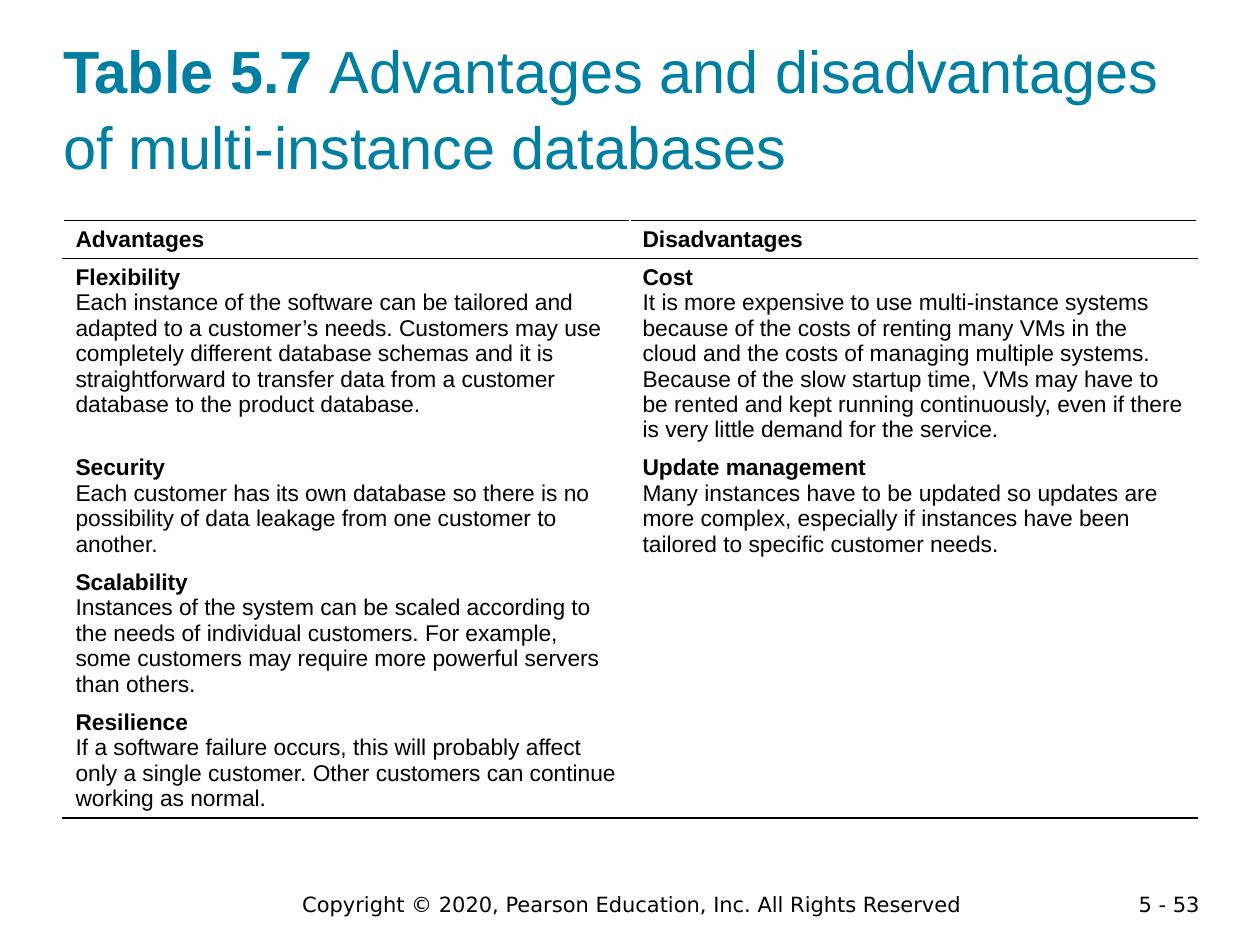
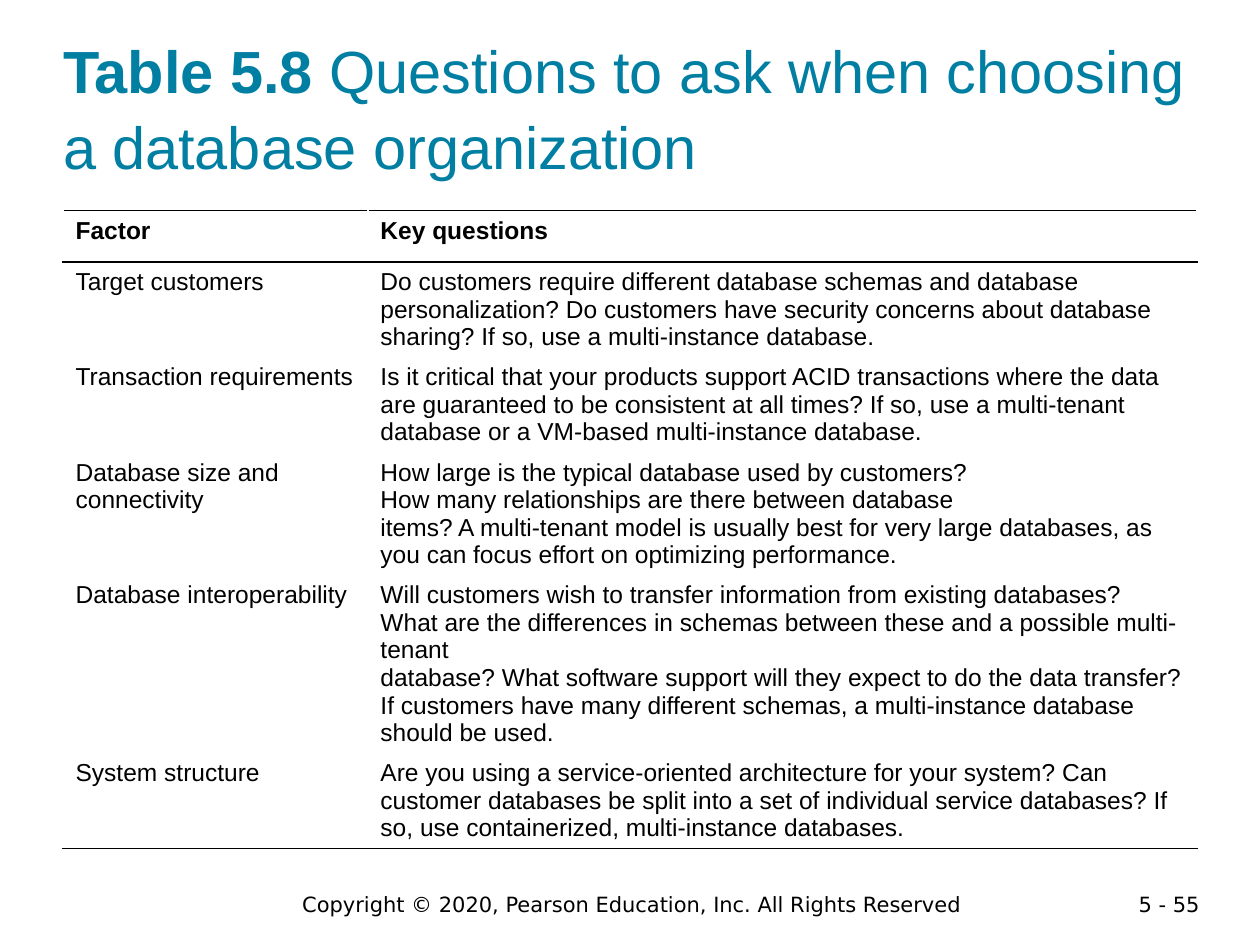
from dataclasses import dataclass

from lxml import etree
from pptx import Presentation
from pptx import util as u
from pptx.dml import color
from pptx.enum import text
from pptx.oxml import ns


@dataclass(frozen=True)
class Theme:
    title_color: color.RGBColor = color.RGBColor(0x00, 0x7F, 0xA3)
    ink: color.RGBColor = color.RGBColor(0, 0, 0)
    paper: color.RGBColor = color.RGBColor(255, 255, 255)
    font: str = "Arial"
    footer_font: str = "DejaVu Sans"
    title_size: int = 34
    footer_size: int = 12
    rule_width: int = 1


@dataclass(frozen=True)
class Cell:
    heading: str = ""
    body: tuple[str, ...] = ()


@dataclass(frozen=True)
class TableSlide:
    label: str
    title: str
    page: str
    top: float
    size: int
    widths: tuple[float, ...]
    heights: tuple[float, ...]
    rows: tuple[tuple[Cell, ...], ...]


THEME = Theme()
COPYRIGHT = "Copyright © 2020, Pearson Education, Inc. All Rights Reserved"

SLIDES = (
    TableSlide(
        "Table 5.7 ", "Advantages and disadvantages of multi-instance databases", "5 - 53",
        1.75, 13, (4.5, 4.5), (0.3, 1.51, 0.91, 1.11, 0.91),
        (
            (Cell("Advantages"), Cell("Disadvantages")),
            (
                Cell("Flexibility", (
                    "Each instance of the software can be tailored and adapted to a customer’s needs. "
                    "Customers may use completely different database schemas and it is straightforward "
                    "to transfer data from a customer database to the product database.",)),
                Cell("Cost", (
                    "It is more expensive to use multi-instance systems because of the costs of renting "
                    "many VMs in the cloud and the costs of managing multiple systems. Because of the "
                    "slow startup time, VMs may have to be rented and kept running continuously, even "
                    "if there is very little demand for the service.",)),
            ),
            (
                Cell("Security", (
                    "Each customer has its own database so there is no possibility of data leakage "
                    "from one customer to another.",)),
                Cell("Update management", (
                    "Many instances have to be updated so updates are more complex, especially if "
                    "instances have been tailored to specific customer needs.",)),
            ),
            (
                Cell("Scalability", (
                    "Instances of the system can be scaled according to the needs of individual "
                    "customers. For example, some customers may require more powerful servers "
                    "than others.",)),
                Cell(),
            ),
            (
                Cell("Resilience", (
                    "If a software failure occurs, this will probably affect only a single customer. "
                    "Other customers can continue working as normal.",)),
                Cell(),
            ),
        ),
    ),
    TableSlide(
        "Table 5.8 ", "Questions to ask when choosing a database organization", "5 - 55",
        1.67, 14, (2.42, 6.58), (0.41, 0.75, 0.75, 0.97, 1.41, 0.75),
        (
            (Cell("Factor"), Cell("Key questions")),
            (
                Cell(body=("Target customers",)),
                Cell(body=(
                    "Do customers require different database schemas and database personalization? "
                    "Do customers have security concerns about database sharing? If so, use a "
                    "multi-instance database.",)),
            ),
            (
                Cell(body=("Transaction requirements",)),
                Cell(body=(
                    "Is it critical that your products support ACID transactions where the data are "
                    "guaranteed to be consistent at all times? If so, use a multi-tenant",
                    "database or a VM-based multi-instance database.")),
            ),
            (
                Cell(body=("Database size and connectivity",)),
                Cell(body=(
                    "How large is the typical database used by customers?",
                    "How many relationships are there between database",
                    "items? A multi-tenant model is usually best for very large databases, as you can "
                    "focus effort on optimizing performance.")),
            ),
            (
                Cell(body=("Database interoperability",)),
                Cell(body=(
                    "Will customers wish to transfer information from existing databases? What are "
                    "the differences in schemas between these and a possible multi-tenant",
                    "database? What software support will they expect to do the data transfer? If "
                    "customers have many different schemas, a multi-instance database should be used.")),
            ),
            (
                Cell(body=("System structure",)),
                Cell(body=(
                    "Are you using a service-oriented architecture for your system? Can customer "
                    "databases be split into a set of individual service databases? If so, use "
                    "containerized, multi-instance databases.",)),
            ),
        ),
    ),
)


def add_run(p, words: str, size: int, font: str = THEME.font,
            ink: color.RGBColor = THEME.ink, bold: bool = False) -> None:
    r = p.add_run()
    r.text = words
    r.font.size = u.Pt(size)
    r.font.name = font
    r.font.color.rgb = ink
    r.font.bold = bold


def set_title(s, spec: TableSlide) -> None:
    sp = s.shapes.title
    sp.left, sp.top, sp.width, sp.height = map(u.Inches, (0.5, 0.24, 9, 1.2))
    tf = sp.text_frame
    tf.auto_size = text.MSO_AUTO_SIZE.NONE
    tf.word_wrap = True
    tf.vertical_anchor = text.MSO_ANCHOR.BOTTOM
    tf.margin_left = tf.margin_top = tf.margin_right = tf.margin_bottom = 0
    p = tf.paragraphs[0]
    p.alignment = text.PP_ALIGN.LEFT
    p.line_spacing = 1.07
    for words, bold in ((spec.label, True), (spec.title, False)):
        add_run(p, words, THEME.title_size, ink=THEME.title_color, bold=bold)


def add_footer(s, words: str, left: float, width: float, height: float,
               align: text.PP_ALIGN) -> None:
    sp = s.shapes.add_textbox(*map(u.Inches, (left, 7.03, width, height)))
    tf = sp.text_frame
    tf.word_wrap = True
    p = tf.paragraphs[0]
    p.alignment = align
    add_run(p, words, THEME.footer_size, THEME.footer_font)


def add_rules(cell, sides: list[str]) -> None:
    tc_pr = cell._tc.get_or_add_tcPr()
    for i, side in enumerate(sides):
        ln = etree.Element(ns.qn(f"a:{side}"), w=str(u.Pt(THEME.rule_width)))
        fill = etree.SubElement(ln, ns.qn("a:solidFill"))
        etree.SubElement(fill, ns.qn("a:srgbClr"), val=str(THEME.ink))
        tc_pr.insert(i, ln)


def fill_cell(cell, content: Cell, size: int) -> None:
    cell.fill.solid()
    cell.fill.fore_color.rgb = THEME.paper
    tf = cell.text_frame
    lines = [(content.heading, True)] if content.heading else []
    lines += [(words, False) for words in content.body]
    for i, (words, bold) in enumerate(lines):
        p = tf.add_paragraph() if i else tf.paragraphs[0]
        add_run(p, words, size, bold=bold)


def add_table(s, spec: TableSlide) -> None:
    table = s.shapes.add_table(
        len(spec.rows), len(spec.widths), u.Inches(0.5), u.Inches(spec.top),
        u.Inches(sum(spec.widths)), u.Inches(sum(spec.heights))).table
    table.first_row = table.horz_banding = False
    for column, width in zip(table.columns, spec.widths):
        column.width = u.Inches(width)
    last = len(spec.rows) - 1
    for i, (row, height) in enumerate(zip(spec.rows, spec.heights)):
        table.rows[i].height = u.Inches(height)
        sides = ["lnT"] * (i in (0, 1)) + ["lnB"] * (i in (0, last))
        for j, content in enumerate(row):
            cell = table.cell(i, j)
            fill_cell(cell, content, spec.size)
            add_rules(cell, sides)


def main() -> None:
    prs = Presentation()
    prs.slide_width, prs.slide_height = u.Inches(10), u.Inches(7.5)
    for spec in SLIDES:
        s = prs.slides.add_slide(prs.slide_layouts.get_by_name("Title Only"))
        set_title(s, spec)
        add_table(s, spec)
        add_footer(s, COPYRIGHT, 1.64, 6.75, 0.3, text.PP_ALIGN.CENTER)
        add_footer(s, spec.page, 8.62, 1, 0.22, text.PP_ALIGN.RIGHT)
    prs.save("out.pptx")


if __name__ == "__main__":
    main()
